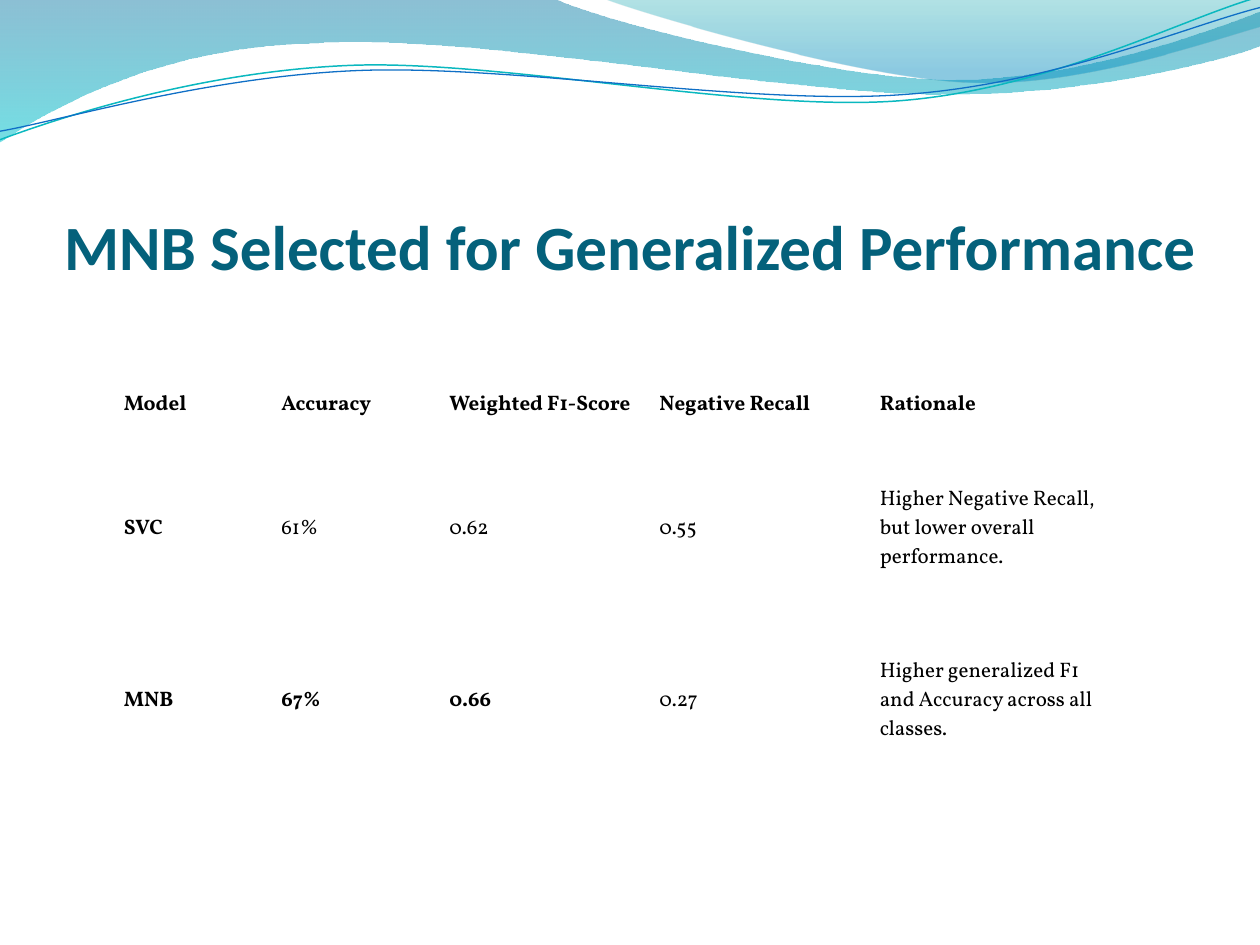
from pptx import Presentation
from pptx import util as u
from pptx.dml.color import RGBColor
from pptx.enum import text
from pptx.oxml.ns import qn
from lxml import etree


def color(value):
    return RGBColor.from_string(value)


def draw_curve(shapes, segments, close):
    start, *points = [(u.Pt(x), u.Pt(y)) for segment in segments for x, y in segment]
    builder = shapes.build_freeform(*start)
    builder.add_line_segments(points, close=close)
    shape = builder.convert_to_shape()
    shape.shadow.inherit = False
    lines = iter(list(shape._element.spPr.iter(qn("a:lnTo"))))
    for segment in segments[1:]:
        group = [next(lines) for _ in segment]
        if len(group) == 3:
            group[0].addprevious(bezier := etree.Element(qn("a:cubicBezTo")))
            for line in group:
                bezier.append(line[0])
                line.getparent().remove(line)
    return shape


presentation = Presentation()
presentation.slide_width, presentation.slide_height = u.Pt(720), u.Pt(540)
slide = presentation.slides.add_slide(presentation.slide_layouts[5])

waves = [
    ([[(0, 0)], [(316.8, -0.7)],
      [(342.7, 12.2), (478.1, 45.4), (545.8, 45.4)],
      [(614.2, 45.4), (689.8, 18.7), (720, 6.5)], [(720.7, 25.9)],
      [(707.8, 31.7), (626.4, 54.7), (537.1, 54)],
      [(447.8, 54), (275, 20.2), (185, 24.5)],
      [(92.9, 25.9), (33.1, 59.8), (-0.7, 81.4)], [(0, 0)]],
     [(0, "0074A1", 45), (1, "00C6CF", 55)]),
    ([[(344.9, -0.7)],
      [(366.5, 7.9), (491, 44.6), (553.7, 46.8)],
      [(616.3, 49.7), (691.9, 23), (720, 15.1)], [(720, 0)], [(344.9, -0.7)]],
     [(0, "00A1A9", 30), (0.8, "008BBF", 45)]),
]
for segments, stops in waves:
    wave = draw_curve(slide.shapes, segments, True)
    wave.line.fill.background()
    wave.fill.gradient()
    wave.fill.gradient_angle = 270
    for stop, (position, value, _) in zip(wave.fill.gradient_stops, stops):
        stop.position = position
        stop.color.rgb = color(value)
    for element, (_, _, opacity) in zip(wave._element.spPr.iter(qn("a:srgbClr")), stops):
        etree.SubElement(element, qn("a:alpha"), val=str(opacity * 1000))

ripples = [
    ([[(-1.4, 62.9)],
      [(33.8, 51.7), (114.1, 29.4), (199.8, 29.9)],
      [(284.9, 30.3), (425.8, 67.3), (512.4, 64.9)],
      [(599, 62.4), (676.5, 25.7), (720.2, 15.5)]], "0AB8BF", 0.85),
    ([[(-1.1, 58)],
      [(32.9, 53.8), (118.3, 32.5), (204.1, 33)],
      [(290.6, 33.4), (428.9, 63.8), (515.5, 61.4)],
      [(601.3, 59.6), (678.5, 30.1), (721.4, 21.3)]], "0F6FC6", 0.75),
]
ripple_group = slide.shapes.add_group_shape()
for segments, value, width in ripples:
    ripple = draw_curve(ripple_group.shapes, segments, False)
    ripple.rotation = 357.3
    ripple.fill.background()
    ripple.line.color.rgb = color(value)
    ripple.line.width = u.Pt(width)

title = slide.shapes.title
title.left, title.top, title.width, title.height = u.Pt(36), u.Pt(72), u.Pt(648), u.Pt(90)
frame = title.text_frame
frame.text = "MNB Selected for Generalized Performance"
frame.margin_left = frame.margin_right = frame.margin_bottom = 0
frame.margin_top = u.Pt(3.6)
frame.vertical_anchor = text.MSO_ANCHOR.BOTTOM
frame.auto_size = text.MSO_AUTO_SIZE.NONE
paragraph = frame.paragraphs[0]
paragraph.alignment = text.PP_ALIGN.CENTER
font = paragraph.runs[0].font
font.name, font.size, font.bold = "Calibri", u.Pt(36), True
font.color.rgb = color("04617B")

rows = [
    ("Model", "Accuracy", "Weighted F1-Score", "Negative Recall", "Rationale"),
    ("SVC", "61%", "0.62", "0.55", "Higher Negative Recall, but lower overall performance."),
    ("MNB", "67%", "0.66", "0.27", "Higher generalized F1 and Accuracy across all classes."),
]
bold_counts = [5, 1, 3]
table = slide.shapes.add_table(3, 5, u.Pt(66), u.Pt(210.2), u.Pt(576), u.Pt(239.8)).table
table.first_row = table.horz_banding = False
for column, width in zip(table.columns, (90, 96, 120, 126, 144)):
    column.width = u.Pt(width)
for row, height in zip(table.rows, (43.2, 98.2, 98.4)):
    row.height = u.Pt(height)
for row, values, bold_count in zip(table.rows, rows, bold_counts):
    for index, (cell, value) in enumerate(zip(row.cells, values)):
        cell.text = value
        cell.fill.background()
        cell.vertical_anchor = text.MSO_ANCHOR.MIDDLE
        cell.margin_left = cell.margin_right = u.Pt(4.8)
        cell.margin_top = cell.margin_bottom = u.Pt(2.4)
        font = cell.text_frame.paragraphs[0].runs[0].font
        font.name, font.size, font.bold = "Vollkorn", u.Pt(12), index < bold_count
        font.color.rgb = color("000000")

presentation.save("out.pptx")
